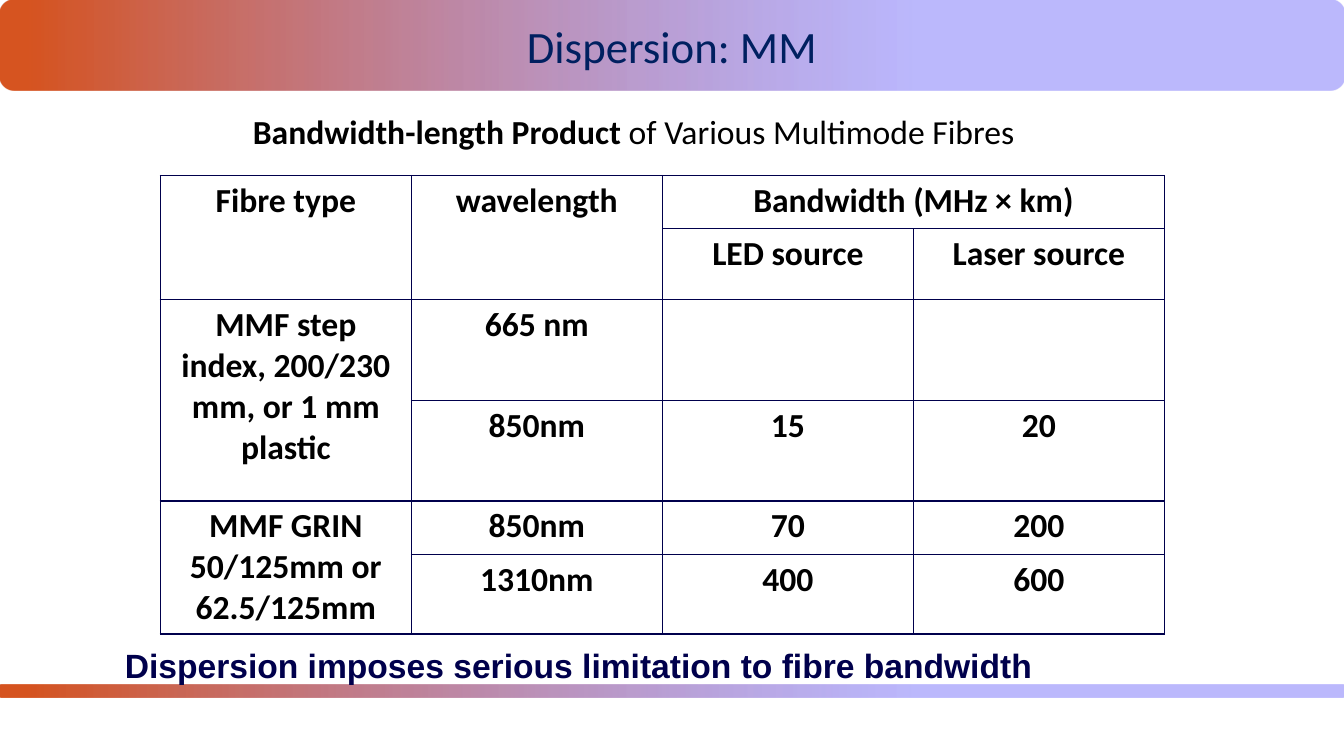
from dataclasses import dataclass

from lxml.etree import SubElement
from pptx import Presentation
from pptx.dml.color import RGBColor
from pptx.enum.shapes import MSO_SHAPE
from pptx.enum.text import MSO_ANCHOR, PP_ALIGN
from pptx.oxml.ns import qn
from pptx.util import Inches, Pt


@dataclass(frozen=True)
class Theme:
    orange: str = "D65420"
    violet: str = "7B75FB"
    violet_alpha: int = 51
    title: str = "002060"
    navy: str = "00004C"
    text: str = "000000"
    font: str = "Calibri"
    note_font: str = "Arial"
    title_size: int = 32
    text_size: int = 24
    border_width: int = 1


THEME = Theme()

ROW_HEIGHTS = [0.53, 0.7, 1, 1, 0.53, 0.7]
COLUMN_WIDTH = 2.49
CELLS = [
    ["Fibre type", "wavelength", "Bandwidth (MHz × km)", ""],
    ["", "", "LED source", "Laser source"],
    ["MMF step index, 200/230 mm, or 1 mm plastic", "665 nm", "", ""],
    ["", "850nm", "15", "20"],
    ["MMF GRIN\n50/125mm or 62.5/125mm", "850nm", "70", "200"],
    ["", "1310nm", "400", "600"],
]
# First and last (row, column) of each merged area
MERGES = [((0, 0), (1, 0)), ((0, 1), (1, 1)), ((0, 2), (0, 3)),
          ((2, 0), (3, 0)), ((4, 0), (5, 0))]


def format_run(r, size, color, name=THEME.font, bold=False):
    r.font.size = Pt(size)
    r.font.name = name
    r.font.bold = bold
    r.font.color.rgb = RGBColor.from_string(color)


def add_band(slide, top, height):
    """Add a full-width bar that fades from orange to pale violet."""
    sp = slide.shapes.add_shape(MSO_SHAPE.ROUNDED_RECTANGLE, 0, Inches(top),
                                Inches(13.33), Inches(height))
    sp.shadow.inherit = False
    sp.line.fill.background()
    sp.fill.gradient()
    sp.fill.gradient_angle = 0
    stops = [(0.02, THEME.orange), (0.68, THEME.violet)]
    for stop, (position, color) in zip(sp.fill.gradient_stops, stops):
        stop.position = position
        stop.color.rgb = RGBColor.from_string(color)
    violet = list(sp._element.spPr.iter(qn("a:srgbClr")))[-1]
    SubElement(violet, qn("a:alpha"), val=str(THEME.violet_alpha * 1000))


def set_title(slide, text):
    title = slide.shapes.title
    title.left, title.top = 0, Inches(0.2)
    title.width, title.height = Inches(13.33), Inches(0.46)
    slide.shapes._spTree.append(title._element)  # in front of the band
    tf = title.text_frame
    tf.text = text
    tf.vertical_anchor = MSO_ANCHOR.TOP
    p = tf.paragraphs[0]
    p.alignment = PP_ALIGN.CENTER
    p.line_spacing = 0.9
    format_run(p.runs[0], THEME.title_size, THEME.title)


def add_text(slide, left, top, width, height, parts, color, name):
    """Add one line of text from (text, bold) parts."""
    box = slide.shapes.add_textbox(Inches(left), Inches(top),
                                   Inches(width), Inches(height))
    tf = box.text_frame
    tf.word_wrap = True
    tf.vertical_anchor = MSO_ANCHOR.MIDDLE
    for text, bold in parts:
        r = tf.paragraphs[0].add_run()
        r.text = text
        format_run(r, THEME.text_size, color, name, bold)


def set_borders(cell):
    tc_pr = cell._tc.get_or_add_tcPr()
    for side in ("lnL", "lnR", "lnT", "lnB"):
        ln = SubElement(tc_pr, qn(f"a:{side}"), w=str(Pt(THEME.border_width)))
        fill = SubElement(ln, qn("a:solidFill"))
        SubElement(fill, qn("a:srgbClr"), val=THEME.navy)


def fill_cell(cell, text):
    set_borders(cell)
    cell.fill.background()
    cell.text_frame.text = text
    for p in cell.text_frame.paragraphs:
        p.alignment = PP_ALIGN.CENTER
        for r in p.runs:
            format_run(r, THEME.text_size, THEME.text, bold=True)


def add_bandwidth_table(slide):
    frame = slide.shapes.add_table(
        len(CELLS), len(CELLS[0]), Inches(1.59), Inches(1.74),
        Inches(COLUMN_WIDTH * len(CELLS[0])), Inches(sum(ROW_HEIGHTS)))
    table = frame.table
    table.first_row = table.horz_banding = False
    for column in table.columns:
        column.width = Inches(COLUMN_WIDTH)
    for row, height, texts in zip(table.rows, ROW_HEIGHTS, CELLS):
        row.height = Inches(height)
        for cell, text in zip(row.cells, texts):
            fill_cell(cell, text)
    for first, last in MERGES:
        table.cell(*first).merge(table.cell(*last))


def main():
    prs = Presentation()
    prs.slide_width, prs.slide_height = Inches(13.33), Inches(7.5)
    slide = prs.slides.add_slide(prs.slide_layouts[5])
    add_band(slide, 0, 0.9)
    set_title(slide, "Dispersion: MM")
    add_band(slide, 6.79, 0.13)
    add_bandwidth_table(slide)
    add_text(slide, 1.14, 6.35, 9.5, 0.5,
             [("Dispersion imposes serious limitation to fibre bandwidth", True)],
             THEME.navy, THEME.note_font)
    add_text(slide, 2.41, 0.67, 10.9, 1.25,
             [("Bandwidth-length Product ", True),
              ("of Various Multimode Fibres", False)],
             THEME.text, THEME.font)
    prs.save("out.pptx")


if __name__ == "__main__":
    main()
